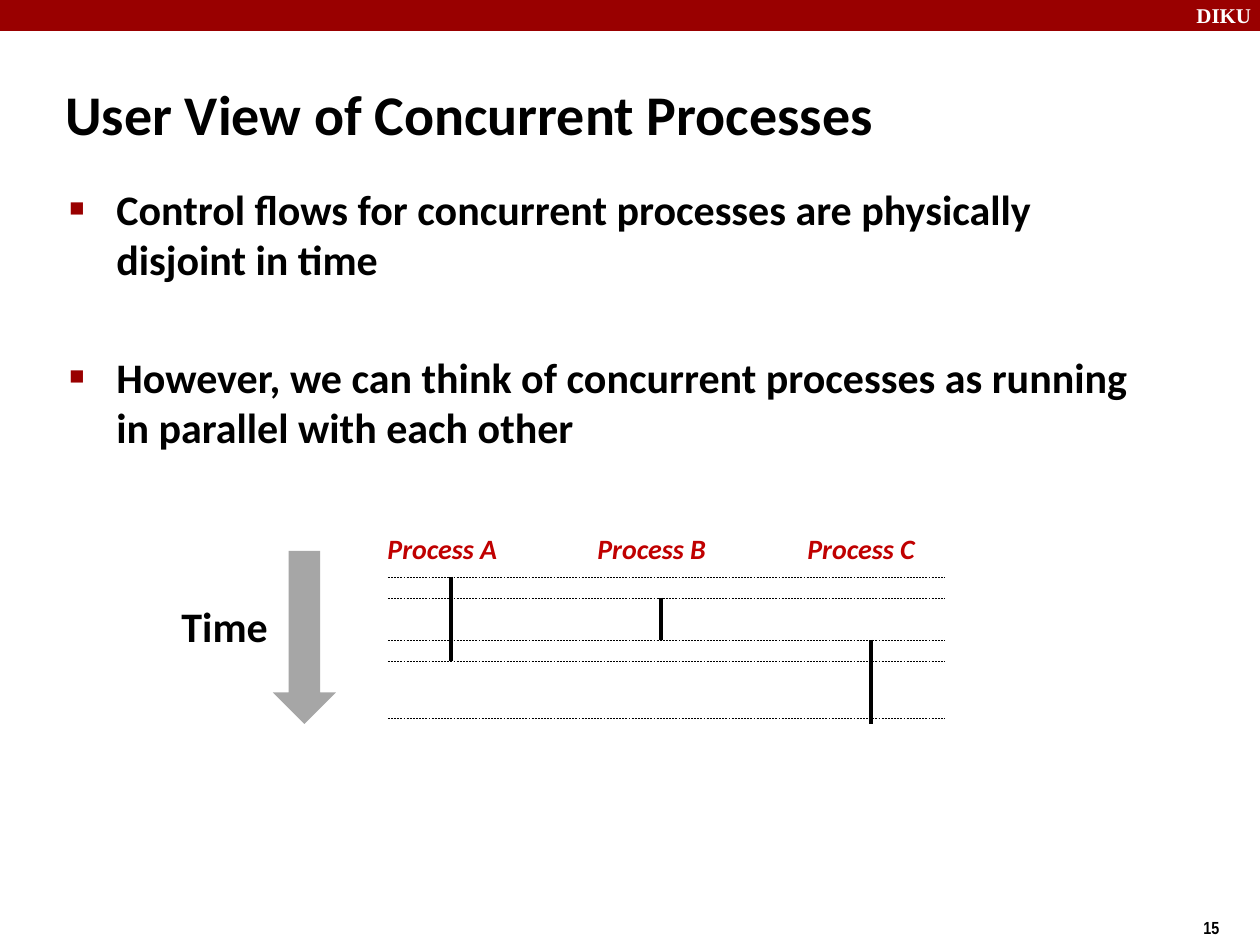
from lxml.etree import SubElement
from pptx import Presentation
from pptx.dml.color import RGBColor
from pptx.enum.dml import MSO_LINE
from pptx.enum.shapes import MSO_CONNECTOR, MSO_SHAPE
from pptx.enum.text import MSO_ANCHOR
from pptx.oxml.ns import qn
from pptx.util import Pt

COLORS = {"banner": "990000", "process": "C00000", "arrow": "A6A6A6",
          "ink": "000000", "paper": "FFFFFF"}
TITLE = "User View of Concurrent Processes"
BULLETS = [
    "Control flows for concurrent processes are physically disjoint in time",
    "However, we can think of concurrent processes as running in parallel with each other",
]
# name, tops of the time slices in which the process runs
PROCESSES = [
    ("Process A", [577, 619]),
    ("Process B", [598]),
    ("Process C", [640, 682]),
]
SLICE = 42
FIRST_LABEL, FIRST_FLOW, COLUMN = 375, 451, 210
GUIDES = [577, 598, 640, 661, 718]
GUIDE_LEFT, GUIDE_RIGHT = 388, 945


def px(length):
    return round(length * 914400 / 126)


def color(name):
    return RGBColor.from_string(COLORS[name])


def add_text(page, area, lines, size, font="Calibri", ink="ink", italic=False,
             wrap=False, anchor=MSO_ANCHOR.TOP, bullets=False, gap=0):
    box = page.shapes.add_textbox(*map(px, area))
    frame = box.text_frame
    frame.word_wrap = wrap
    frame.vertical_anchor = anchor
    for index, line in enumerate(lines):
        para = frame.paragraphs[0] if index == 0 else frame.add_paragraph()
        if index:
            para.space_before = Pt(gap)
        if bullets:
            add_bullet(para)
        span = para.add_run()
        span.text = line
        span.font.name = font
        span.font.size = Pt(size)
        span.font.bold = True
        span.font.italic = italic
        span.font.color.rgb = color(ink)


def add_bullet(para):
    props = para._p.get_or_add_pPr()
    props.set("marL", str(px(47)))
    props.set("indent", str(px(-47)))
    tint = SubElement(props, qn("a:buClr"))
    SubElement(tint, qn("a:srgbClr"), val=COLORS["banner"])
    SubElement(props, qn("a:buSzPct"), val="60000")
    SubElement(props, qn("a:buFont"), typeface="Times New Roman")
    SubElement(props, qn("a:buChar"), char="■")


def add_block(page, kind, area, fill):
    block = page.shapes.add_shape(kind, *map(px, area))
    block.shadow.inherit = False
    block.fill.solid()
    block.fill.fore_color.rgb = color(fill)
    block.line.fill.background()


def add_line(page, start, end, width, dash=None):
    line = page.shapes.add_connector(MSO_CONNECTOR.STRAIGHT, *map(px, start + end))
    line.line.color.rgb = color("ink")
    line.line.width = Pt(width)
    if dash:
        line.line.dash_style = dash
    SubElement(line._element.spPr, qn("a:effectLst"))


def main():
    deck = Presentation()
    deck.slide_width, deck.slide_height = px(1260), px(945)
    page = deck.slides.add_slide(deck.slide_layouts[6])

    add_block(page, MSO_SHAPE.RECTANGLE, (0, 0, 1260, 31), "banner")
    add_text(page, (1184, -4, 84, 38), ["DIKU"], 12, font="Times New Roman",
             ink="paper", wrap=True)
    add_text(page, (1191, 911, 95, 34), ["15"], 10, font="Arial Narrow")
    add_text(page, (53, 74, 1166, 79), [TITLE], 32, wrap=True,
             anchor=MSO_ANCHOR.MIDDLE)
    add_text(page, (57, 177, 1089, 275), BULLETS, 24, wrap=True,
             bullets=True, gap=38.5)

    add_text(page, (169, 594, 118, 63), ["Time"], 24)
    add_block(page, MSO_SHAPE.DOWN_ARROW, (273, 551, 63, 173), "arrow")
    for y in GUIDES:
        add_line(page, (GUIDE_LEFT, y), (GUIDE_RIGHT, y), 0.25, MSO_LINE.DASH)
    for column, (name, tops) in enumerate(PROCESSES):
        shift = column * COLUMN
        add_text(page, (FIRST_LABEL + shift, 525, 142, 47), [name], 16,
                 ink="process", italic=True)
        x = FIRST_FLOW + shift
        for top in tops:
            add_line(page, (x, top), (x, top + SLICE), 2)

    deck.save("out.pptx")


if __name__ == "__main__":
    main()
